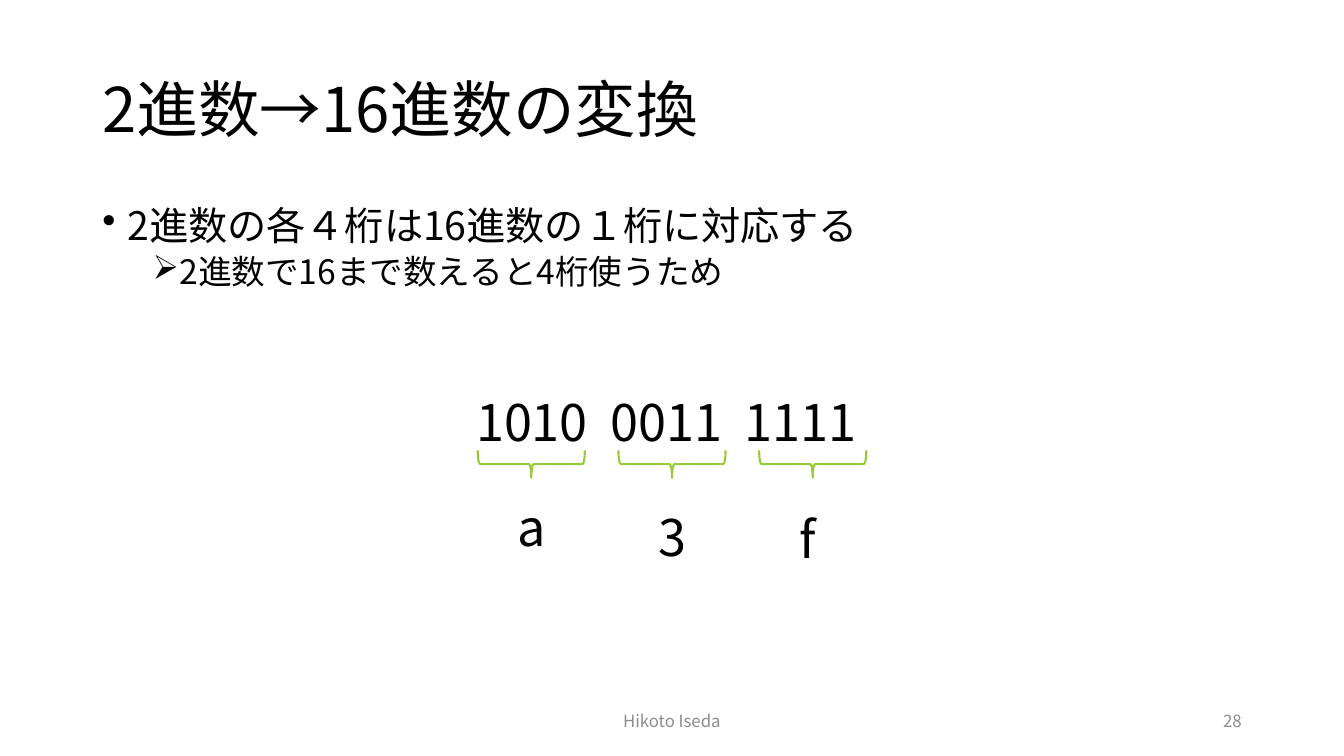
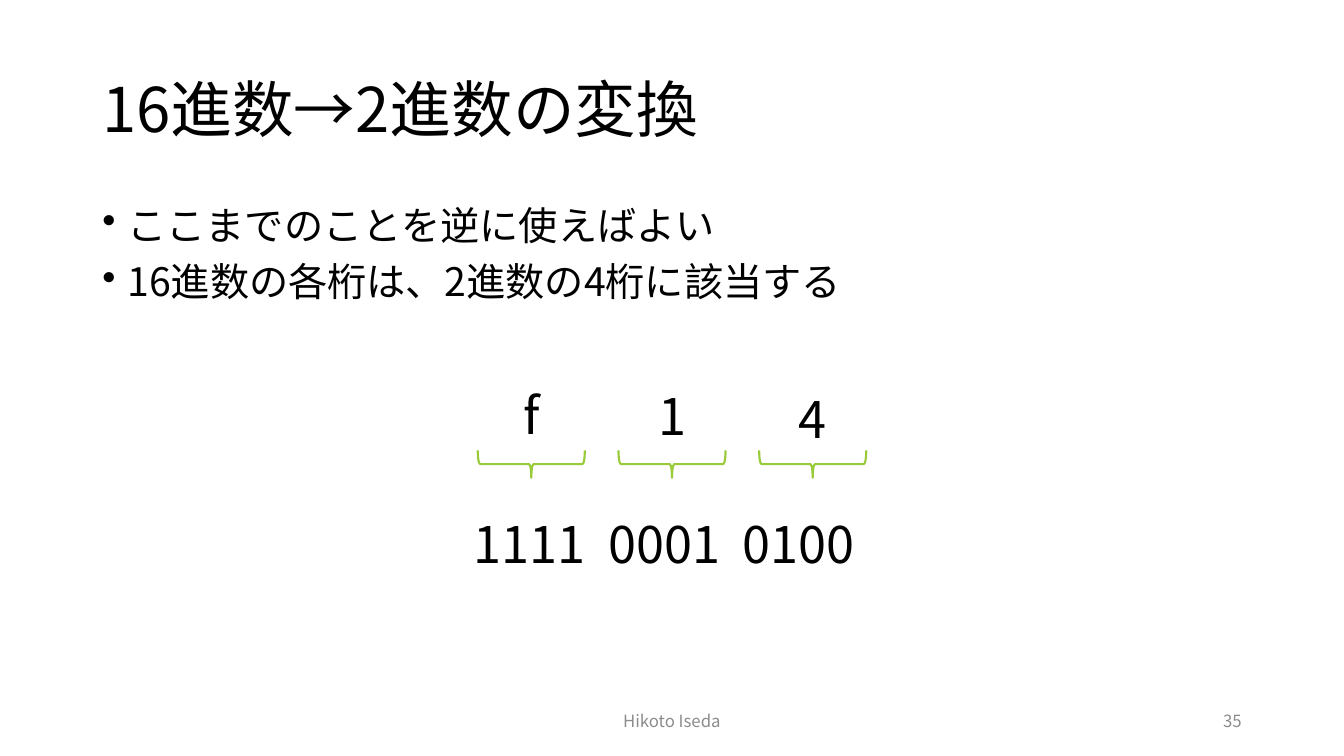
from dataclasses import dataclass

from lxml import etree
from pptx import Presentation
from pptx import util as u
from pptx.dml.color import RGBColor
from pptx.enum import shapes, text
from pptx.oxml.ns import qn

PX = 9525  # EMU per px, 96 px to the inch


def px(n: int) -> u.Emu:
    return u.Emu(n * PX)


@dataclass(frozen=True)
class Theme:
    font: str = "Noto Sans CJK JP"
    ink: str = "000000"
    muted: str = "8C8C8C"
    brace: str = "99CB38"
    title: int = 44
    body: tuple = (28, 24)
    digits: int = 36
    footer: int = 12
    brace_line: float = 1.5
    leading: float = 0.9


@dataclass(frozen=True)
class Level:
    bullet: str
    indent: int
    before: int


@dataclass(frozen=True)
class Bullet:
    text: str
    level: int = 0


@dataclass(frozen=True)
class HexDigit:
    text: str
    top: int
    shift: int = 0


@dataclass(frozen=True)
class Page:
    number: int
    title: str
    bullets: tuple
    groups: tuple
    groups_at: tuple
    hex_digits: tuple


T = Theme()
LEVELS = (Level("•", 24, 10), Level("➢", 72, 5))
HANGING = 24
AUTHOR = "Hikoto Iseda"
LEFT, WIDTH = 88, 1104
FOOTER_TOP, FOOTER_H = 667, 38
GROUPS_W, DIGIT_W, DIGIT_H = 397, 46, 68
GROUP_PITCH = 128
BRACE_X, BRACE_Y, BRACE_PITCH = 506, 442, 134  # centre of the first brace
BRACE_W, BRACE_H = 26, 102

PAGES = (
    Page(28, "2進数→16進数の変換",
         (Bullet("2進数の各４桁は16進数の１桁に対応する"),
          Bullet("2進数で16まで数えると4桁使うため", 1)),
         ("1010", "0011", "1111"), (444, 368),
         (HexDigit("a", 468), HexDigit("3", 477), HexDigit("f", 479, -5))),
    Page(35, "16進数→2進数の変換",
         (Bullet("ここまでのことを逆に使えばよい"),
          Bullet("16進数の各桁は、2進数の4桁に該当する")),
         ("1111", "0001", "0100"), (442, 484),
         (HexDigit("f", 361), HexDigit("1", 362), HexDigit("4", 365))),
)


def add_frame(s, x: int, y: int, w: int, h: int, middle: bool = False, wrap: bool = True):
    tf = s.shapes.add_textbox(px(x), px(y), px(w), px(h)).text_frame
    tf.word_wrap = wrap
    tf.vertical_anchor = text.MSO_ANCHOR.MIDDLE if middle else text.MSO_ANCHOR.TOP
    return tf


def add_run(p, words: str, size: int, color: str = T.ink) -> None:
    r = p.add_run()
    r.text = words
    r.font.size = u.Pt(size)
    r.font.color.rgb = RGBColor.from_string(color)
    r.font.name = T.font
    ea = etree.SubElement(r.font._element, qn("a:ea"))
    ea.set("typeface", T.font)


def add_title(s, title: str) -> None:
    p = add_frame(s, LEFT, 38, WIDTH, 139, middle=True).paragraphs[0]
    p.line_spacing = T.leading
    add_run(p, title, T.title)


def add_bullets(s, bullets: tuple) -> None:
    tf = add_frame(s, LEFT, 192, WIDTH, 457)
    for i, item in enumerate(bullets):
        p = tf.add_paragraph() if i else tf.paragraphs[0]
        level = LEVELS[item.level]
        p.level = item.level
        ppr = p._p.get_or_add_pPr()
        ppr.set("marL", str(px(level.indent)))
        ppr.set("indent", str(px(-HANGING)))
        etree.SubElement(ppr, qn("a:buChar")).set("char", level.bullet)
        p.line_spacing = T.leading
        if i:
            p.space_before = u.Pt(level.before)
        add_run(p, item.text, T.body[item.level])


def add_footer(s, number: int) -> None:
    for x, w, words, align in ((424, 432, AUTHOR, text.PP_ALIGN.CENTER),
                               (904, 288, str(number), text.PP_ALIGN.RIGHT)):
        p = add_frame(s, x, FOOTER_TOP, w, FOOTER_H, middle=True).paragraphs[0]
        p.alignment = align
        add_run(p, words, T.footer, T.muted)


def add_groups(s, groups: tuple, at: tuple) -> None:
    """Set the four-digit binary groups on evenly spaced tab stops."""
    p = add_frame(s, *at, GROUPS_W, DIGIT_H).paragraphs[0]
    tabs = etree.SubElement(p._p.get_or_add_pPr(), qn("a:tabLst"))
    for i in range(1, len(groups)):
        tab = etree.SubElement(tabs, qn("a:tab"))
        tab.set("pos", str(px(i * GROUP_PITCH)))
        tab.set("algn", "l")
    add_run(p, "\t".join(groups), T.digits)


def add_brace(s, center: int) -> None:
    sp = s.shapes.add_shape(shapes.MSO_SHAPE.RIGHT_BRACE,
                            px(center - BRACE_W // 2), px(BRACE_Y - BRACE_H // 2),
                            px(BRACE_W), px(BRACE_H))
    sp.rotation = 90
    sp.shadow.inherit = False
    sp.fill.background()
    sp.line.color.rgb = RGBColor.from_string(T.brace)
    sp.line.width = u.Pt(T.brace_line)


def add_hex_digit(s, digit: HexDigit, center: int) -> None:
    x = center + digit.shift - DIGIT_W // 2
    p = add_frame(s, x, digit.top, DIGIT_W, DIGIT_H, wrap=False).paragraphs[0]
    p.alignment = text.PP_ALIGN.CENTER
    add_run(p, digit.text, T.digits)


def add_page(prs, page: Page) -> None:
    s = prs.slides.add_slide(prs.slide_layouts[6])
    add_title(s, page.title)
    add_bullets(s, page.bullets)
    add_footer(s, page.number)
    add_groups(s, page.groups, page.groups_at)
    for i, digit in enumerate(page.hex_digits):
        center = BRACE_X + i * BRACE_PITCH
        add_brace(s, center)
        add_hex_digit(s, digit, center)


def main() -> None:
    prs = Presentation()
    prs.slide_width, prs.slide_height = px(1280), px(720)
    for page in PAGES:
        add_page(prs, page)
    prs.save("out.pptx")


if __name__ == "__main__":
    main()
